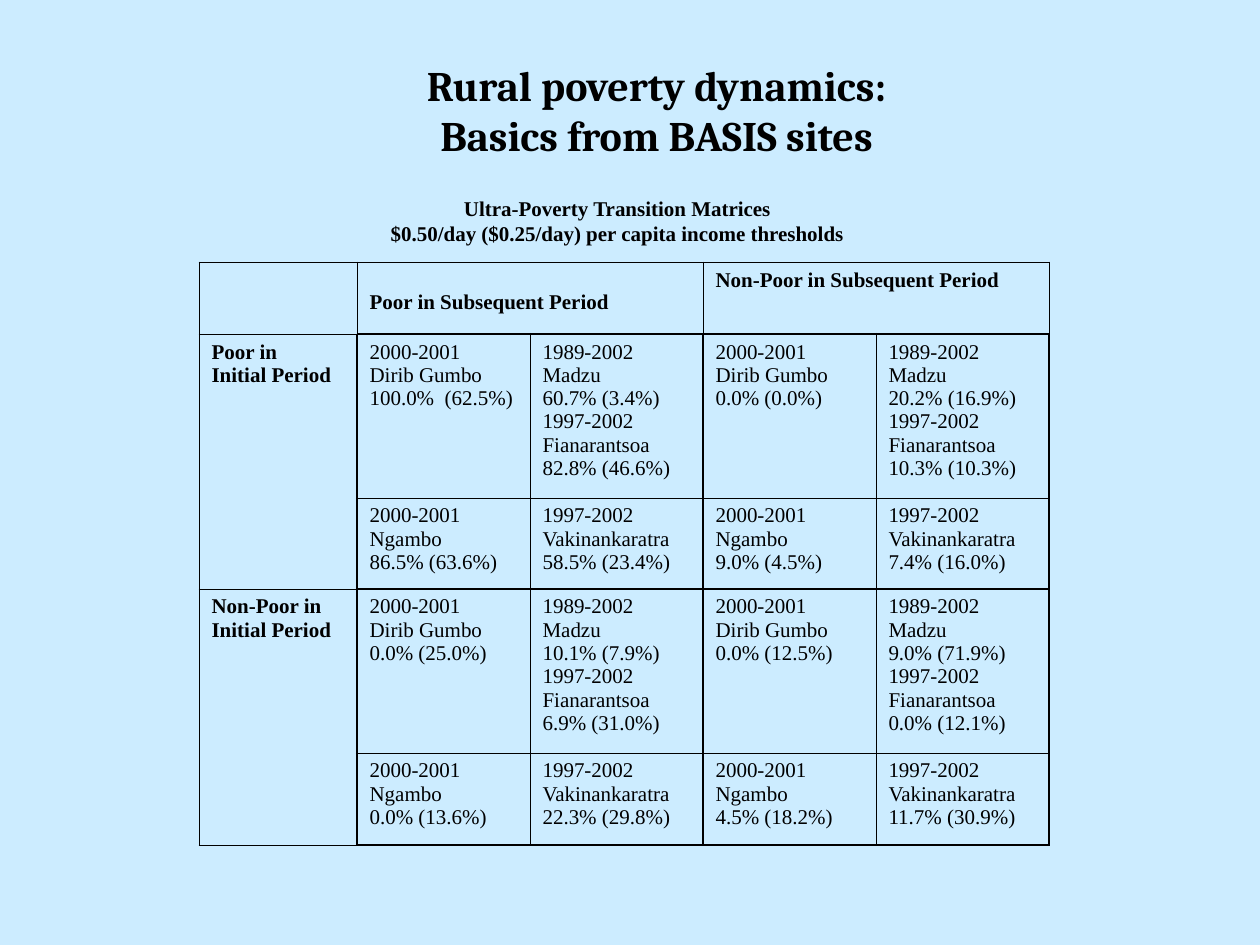
from lxml import etree
from pptx import Presentation, util as u
from pptx.dml.color import RGBColor
from pptx.enum import text as t
from pptx.oxml.ns import qn

PX = 914400 / 126
HUE = {"sky": "CCECFF", "ink": "000000"}
SERIF = "Times New Roman"
THIN, THICK = 0.45, 1.47
COLS = [158, 173, 173, 173, 173]
ROWS = [72, 164, 91, 164, 92]

DIRIB = ["2000-2001", "Dirib Gumbo"]
MADZU = ["1989-2002 Madzu"]
FIANAR = ["1997-2002", "Fianarantsoa"]
NGAMBO = ["2000-2001", "Ngambo"]
VAKIN = ["1997-2002", "Vakinankaratra"]
HEADS = {
    (0, 1): ["Poor in Subsequent Period"],
    (0, 3): ["Non-Poor in Subsequent Period"],
    (1, 0): ["Poor in", "Initial Period"],
    (3, 0): ["Non-Poor in Initial Period"],
}
RATES = {
    (1, 1): ["100.0%  (62.5%)", "60.7% (3.4%)", "82.8% (46.6%)",
             "86.5% (63.6%)", "58.5% (23.4%)"],
    (1, 3): ["0.0% (0.0%)", "20.2% (16.9%)", "10.3% (10.3%)",
             "9.0% (4.5%)", "7.4% (16.0%)"],
    (3, 1): ["0.0% (25.0%)", "10.1% (7.9%)", "6.9% (31.0%)",
             "0.0% (13.6%)", "22.3% (29.8%)"],
    (3, 3): ["0.0% (12.5%)", "9.0% (71.9%)", "0.0% (12.1%)",
             "4.5% (18.2%)", "11.7% (30.9%)"],
}


def px(n):
    return u.Emu(round(n * PX))


def place(shape, box):
    shape.left, shape.top, shape.width, shape.height = map(px, box)


def write(frame, lines, size=12, face=SERIF, bold=False, align=t.PP_ALIGN.LEFT):
    for i, line in enumerate(lines):
        para = frame.add_paragraph() if i else frame.paragraphs[0]
        para.alignment = align
        run = para.add_run()
        run.text = line
        run.font.size = u.Pt(size)
        run.font.name = face
        run.font.bold = bold
        run.font.color.rgb = RGBColor.from_string(HUE["ink"])


def edge(cell, side, width):
    line = etree.SubElement(cell._tc.get_or_add_tcPr(), qn("a:ln" + side),
                            w=str(u.Pt(width)))
    fill = etree.SubElement(line, qn("a:solidFill"))
    etree.SubElement(fill, qn("a:srgbClr"), val=HUE["ink"])


def frame_cell(cell, row, col):
    lines = [("L", col, row), ("R", col + 1, row),
             ("T", row, col), ("B", row + 1, col)]
    for side, line, cross in lines:
        edge(cell, side, THICK if line % 2 and cross else THIN)
    cell.fill.background()


def title(slide, box):
    shape = slide.shapes.title
    place(shape, box)
    frame = shape.text_frame
    frame.auto_size = t.MSO_AUTO_SIZE.NONE
    frame.vertical_anchor = t.MSO_ANCHOR.TOP
    write(frame, ["Rural poverty dynamics:", "Basics from BASIS sites"],
          size=24, face="Cambria", bold=True, align=t.PP_ALIGN.CENTER)


def caption(slide, box):
    frame = slide.shapes.add_textbox(*map(px, box)).text_frame
    frame.word_wrap = False
    frame.vertical_anchor = t.MSO_ANCHOR.MIDDLE
    write(frame, ["Ultra-Poverty Transition Matrices",
                  "$0.50/day ($0.25/day) per capita income thresholds"],
          bold=True, align=t.PP_ALIGN.CENTER)


def matrix(slide, left, top):
    box = (left, top, sum(COLS), sum(ROWS))
    grid = slide.shapes.add_table(len(ROWS), len(COLS), *map(px, box)).table
    grid.first_row = grid.horz_banding = False
    for part, size in zip(grid.columns, COLS):
        part.width = px(size)
    for part, size in zip(grid.rows, ROWS):
        part.height = px(size)
    for row in range(len(ROWS)):
        for col in range(len(COLS)):
            frame_cell(grid.cell(row, col), row, col)
    for (row, col), lines in HEADS.items():
        cell = grid.cell(row, col)
        end = (row, col + 1) if row == 0 else (row + 1, col)
        cell.merge(grid.cell(*end))
        write(cell.text_frame, lines, bold=True)
    grid.cell(0, 1).margin_top = px(29)
    for (row, col), (dirib, madzu, fianar, ngambo, vakin) in RATES.items():
        block = [[DIRIB + [dirib], MADZU + [madzu] + FIANAR + [fianar]],
                 [NGAMBO + [ngambo], VAKIN + [vakin]]]
        for i, pair in enumerate(block):
            for j, lines in enumerate(pair):
                write(grid.cell(row + i, col + j).text_frame, lines)


def main():
    deck = Presentation()
    deck.slide_width, deck.slide_height = px(1260), px(945)
    slide = deck.slides.add_slide(deck.slide_layouts[5])
    back = slide.background.fill
    back.solid()
    back.fore_color.rgb = RGBColor.from_string(HUE["sky"])
    title(slide, (126, 53, 1061, 190))
    caption(slide, (378, 189, 479, 63))
    matrix(slide, 199, 262)
    deck.save("out.pptx")


if __name__ == "__main__":
    main()
